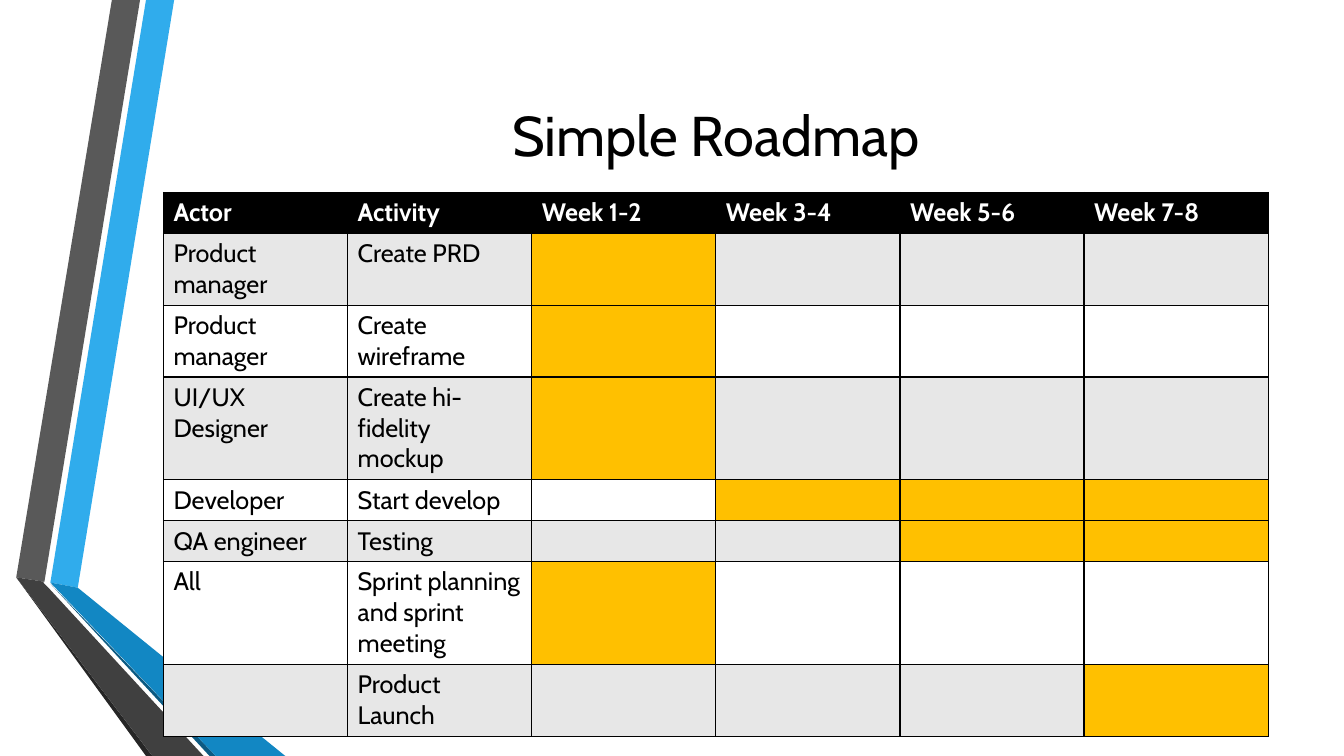
from lxml import etree
from pptx import Presentation
from pptx import util as u
from pptx.dml import color
from pptx.enum import text
from pptx.oxml import ns


def rgb(value):
    return color.RGBColor.from_string(value)


def write(para, words, size, shade, bold=False):
    span = para.add_run()
    span.text = words
    for name, value in {"name": "Cabin", "size": u.Pt(size), "bold": bold}.items():
        setattr(span.font, name, value)
    span.font.color.rgb = rgb(shade)


deck = Presentation()
deck.slide_width = u.Cm(33.87)
deck.slide_height = u.Cm(19.05)
page = deck.slides.add_slide(deck.slide_layouts[6])

BOTTOM = 19.05
ribbons = [
    ("30ACEC", [(1.27, 14.68), (1.96, 14.81), (4.39, 0), (3.68, 0)]),
    ("595959", [(3.53, 0), (2.82, 0), (0.41, 14.55), (1.12, 14.66)]),
    ("262626", [(0.41, 14.55), (3.68, BOTTOM), (3.84, BOTTOM)]),
    ("0C5A82", [(1.27, 14.71), (5.28, BOTTOM), (5.44, BOTTOM)]),
    ("1287C3", [(1.27, 14.68), (5.44, BOTTOM), (7.19, BOTTOM), (1.96, 14.81)]),
    ("404040", [(5.13, BOTTOM), (1.22, 14.81), (1.09, 14.68), (1.12, 14.66),
                (0.41, 14.55), (3.84, BOTTOM)]),
]
for shade, corners in ribbons:
    points = [(u.Cm(x), u.Cm(y)) for x, y in corners]
    builder = page.shapes.build_freeform(*points[0])
    builder.add_line_segments(points[1:])
    ribbon = builder.convert_to_shape()
    ribbon.shadow.inherit = False
    ribbon.fill.solid()
    ribbon.fill.fore_color.rgb = rgb(shade)
    ribbon.line.fill.background()

LEFT, WIDTH = 4.12, 27.84
title = page.shapes.add_textbox(u.Cm(LEFT), u.Cm(1.9), u.Cm(WIDTH), u.Cm(2.95))
frame = title.text_frame
frame.word_wrap = True
frame.vertical_anchor = text.MSO_ANCHOR.MIDDLE
frame.paragraphs[0].alignment = text.PP_ALIGN.CENTER
write(frame.paragraphs[0], "Simple Roadmap", 40, "000000")

header = ["Actor", "Activity", "Week 1-2", "Week 3-4", "Week 5-6", "Week 7-8"]
tasks = [
    ("Product manager", "Create PRD", [2], 1.81),
    ("Product manager", "Create wireframe", [2], 1.81),
    ("UI/UX Designer", "Create hi-fidelity mockup", [2], 2.59),
    ("Developer", "Start develop", [3, 4, 5], 1.03),
    ("QA engineer", "Testing", [4, 5], 1.03),
    ("All", "Sprint planning and sprint meeting", [2], 2.59),
    ("", "Product Launch", [5], 1.81),
]
rows = [(header, [], 1.03)]
rows += [([actor, activity, "", "", "", ""], weeks, height)
         for actor, activity, weeks, height in tasks]

total = sum(height for _, _, height in rows)
roadmap = page.shapes.add_table(len(rows), len(header), u.Cm(LEFT), u.Cm(4.85),
                                u.Cm(WIDTH), u.Cm(total)).table
for column in roadmap.columns:
    column.width = u.Cm(WIDTH / len(header))

for r, (words, weeks, height) in enumerate(rows):
    roadmap.rows[r].height = u.Cm(height)
    for c, word in enumerate(words):
        cell = roadmap.cell(r, c)
        shade = "000000" if r == 0 else "E7E7E7" if r % 2 else "FFFFFF"
        cell.fill.solid()
        cell.fill.fore_color.rgb = rgb("FFC000" if c in weeks else shade)
        if word:
            write(cell.text_frame.paragraphs[0], word, 18,
                  "000000" if r else "FFFFFF", r == 0)
        properties = cell._tc.get_or_add_tcPr()
        for place, side in enumerate(["lnL", "lnR", "lnT", "lnB"]):
            border = etree.Element(ns.qn("a:" + side), w=str(u.Pt(1)))
            fill = etree.SubElement(border, ns.qn("a:solidFill"))
            etree.SubElement(fill, ns.qn("a:srgbClr"), val="000000")
            properties.insert(place, border)

deck.save("out.pptx")
